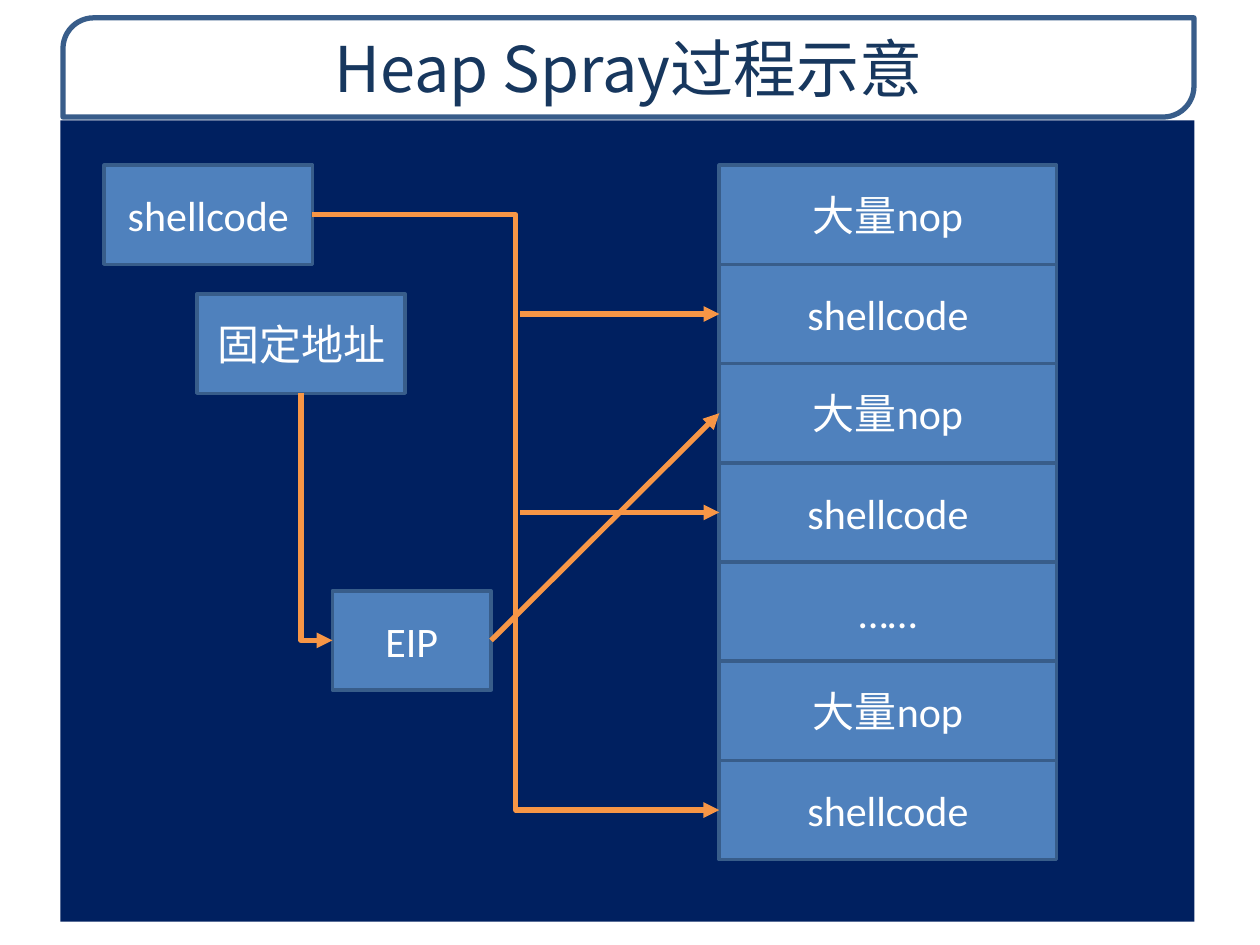
from lxml import etree
from pptx import Presentation
from pptx.dml.color import RGBColor
from pptx.enum import shapes, text
from pptx.oxml.ns import qn
from pptx.util import Cm, Pt

WHITE = RGBColor(0xFF, 0xFF, 0xFF)
NAVY = RGBColor(0x00, 0x20, 0x60)
TITLE_BLUE = RGBColor(0x17, 0x37, 0x5E)
BOX_BLUE = RGBColor(0x4F, 0x81, 0xBD)
EDGE_BLUE = RGBColor(0x38, 0x5D, 0x8A)
ORANGE = RGBColor(0xF7, 0x96, 0x46)
CJK_FONT = "Noto Sans CJK SC"
ROW_H = 2.0
BOTTOM, LEFT, RIGHT = 2, 1, 3
KIND = shapes.MSO_CONNECTOR


def put_text(sp, words, size=24, font="Calibri", color=WHITE):
    tf = sp.text_frame
    tf.word_wrap = True
    tf.vertical_anchor = text.MSO_ANCHOR.MIDDLE
    p = tf.paragraphs[0]
    p.alignment = text.PP_ALIGN.CENTER
    r = p.add_run()
    r.text = words
    r.font.size, r.font.name = Pt(size), font
    r.font.color.rgb = color
    etree.SubElement(r.font._element, qn("a:ea"), typeface=CJK_FONT)


def add_box(s, x, y, w, h, fill=BOX_BLUE, line=2, words=None,
            kind=shapes.MSO_SHAPE.RECTANGLE):
    sp = s.shapes.add_shape(kind, Cm(x), Cm(y), Cm(w), Cm(h))
    sp.shadow.inherit = False
    sp.fill.solid()
    sp.fill.fore_color.rgb = fill
    if line:
        sp.line.color.rgb, sp.line.width = EDGE_BLUE, Pt(line)
    else:
        sp.line.fill.background()
    if words:
        put_text(sp, words)
    return sp


def add_arrow(s, end, start=None, side=RIGHT, x=0, y=0, kind=KIND.STRAIGHT):
    """Arrow to the left side of end, from a side of start or from point x, y."""
    c = s.shapes.add_connector(kind, Cm(x), Cm(y), Cm(x), Cm(y))
    if start is not None:
        c.begin_connect(start, side)
    c.end_connect(end, LEFT)
    c.line.color.rgb, c.line.width = ORANGE, Pt(3)
    etree.SubElement(c.line._get_or_add_ln(), qn("a:tailEnd"), type="triangle")
    etree.SubElement(c._element.spPr, qn("a:effectLst"))
    return c


def bend_down_right(c):
    """Turn an elbow into one bend: straight down, then right."""
    x, y, w, h = c.left, c.top, c.width, c.height
    c._element.spPr.find(qn("a:prstGeom")).set("prst", "bentConnector2")
    xfrm = c._element.spPr.find(qn("a:xfrm"))
    xfrm.set("rot", "16200000")
    xfrm.set("flipH", "1")
    c.left, c.top = x + (w - h) // 2, y + (h - w) // 2
    c.width, c.height = h, w


def draw_title(s, x, y, w, h):
    frame = add_box(s, x, y, w, h, WHITE, 3,
                    kind=shapes.MSO_SHAPE.ROUND_2_DIAG_RECTANGLE)
    frame.adjustments[0] = 0.31
    color = frame.fill._xPr.find(qn("a:solidFill"))[0]
    etree.SubElement(color, qn("a:alpha"), val="85000")
    tb = s.shapes.add_textbox(Cm(x), Cm(y), Cm(w), Cm(h))
    put_text(tb, "Heap Spray过程示意", 36, CJK_FONT, TITLE_BLUE)


def draw_heap(s, x, y, w):
    rows = ["大量nop", "shellcode", "大量nop", "shellcode",
            "……", "大量nop", "shellcode"]
    return [add_box(s, x, y + i * ROW_H, w, ROW_H, words=t)
            for i, t in enumerate(rows)]


def draw_diagram(s, x, y, w, h):
    add_box(s, x, y, w, h, NAVY, line=None)

    # Sources on the left, heap on the right
    top = y + 0.9
    shellcode = add_box(s, x + 0.88, top, 4.2, ROW_H, words="shellcode")
    address = add_box(s, x + 2.75, y + 3.5, 4.2, ROW_H, words="固定地址")
    eip = add_box(s, x + 5.48, y + 9.48, 3.2, ROW_H, words="EIP")
    heap = draw_heap(s, x + 13.28, top, 6.8)

    # Shellcode is sprayed into the heap
    add_arrow(s, heap[6], shellcode, kind=KIND.ELBOW)
    for i in (3, 1):
        add_arrow(s, heap[i], x=x + 9.27, y=top + (i + 0.5) * ROW_H)

    # The fixed address goes to EIP, which lands in a nop block
    bend_down_right(add_arrow(s, eip, address, BOTTOM, kind=KIND.ELBOW))
    add_arrow(s, heap[2], eip)


def main():
    prs = Presentation()
    prs.slide_width, prs.slide_height = Cm(25.4), Cm(19.05)
    s = prs.slides.add_slide(prs.slide_layouts[6])
    draw_title(s, 1.27, 0.36, 22.8, 2.0)
    draw_diagram(s, 1.22, 2.43, 22.86, 16.15)
    prs.save("out.pptx")


if __name__ == "__main__":
    main()
